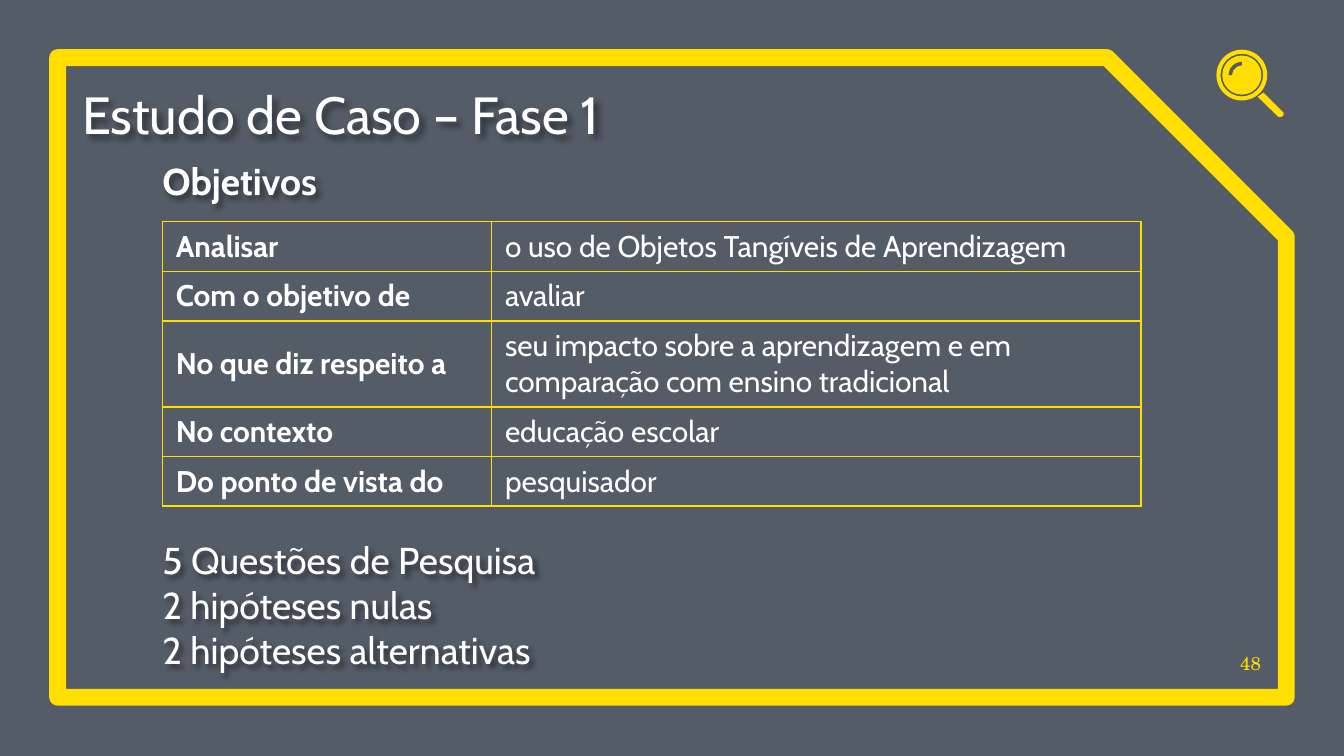
"""Build the case study slide with its objectives table."""
from lxml import etree
from pptx import Presentation
from pptx import util as u
from pptx.dml.color import RGBColor
from pptx.enum import shapes, text
from pptx.oxml import parse_xml
from pptx.oxml.ns import nsdecls, qn

SLATE = RGBColor(0x54, 0x5C, 0x67)
YELLOW = RGBColor(0xFF, 0xDE, 0x00)
WHITE = RGBColor(0xFF, 0xFF, 0xFF)
SANS, SERIF = "Cabin", "TeX Gyre Schola"

TITLE = "Estudo de Caso – Fase 1"
HEADING = "Objetivos"
GOALS = [
    ("Analisar", "o uso de Objetos Tangíveis de Aprendizagem"),
    ("Com o objetivo de", "avaliar"),
    ("No que diz respeito a",
     "seu impacto sobre a aprendizagem e em comparação com ensino tradicional"),
    ("No contexto", "educação escolar"),
    ("Do ponto de vista do", "pesquisador"),
]
OUTCOMES = ["5 Questões de Pesquisa", "2 hipóteses nulas", "2 hipóteses alternativas"]
PAGE = "48"

LEFT = 3.07
COL_WIDTHS = [6.22, 12.27]
ROW_HEIGHTS = [0.94, 0.94, 1.6, 0.94, 0.94]
LENS_CENTRE = (23.47, 1.42)
HANDLE = [(23.88, 1.75), (23.77, 1.83), (24.16, 2.21),
          (24.22, 2.21), (24.26, 2.18), (24.26, 2.13)]


def cm(*values):
    return [u.Cm(v) for v in values]


def style(p, size, color=WHITE, font=SANS, bold=False):
    for r in p.runs:
        r.font.size, r.font.name, r.font.bold = u.Pt(size), font, bold
        r.font.color.rgb = color


def write(sp, lines, size, align=text.PP_ALIGN.LEFT, **look):
    tf = sp.text_frame
    tf.word_wrap = True
    tf.auto_size = text.MSO_AUTO_SIZE.NONE
    tf.vertical_anchor = text.MSO_ANCHOR.BOTTOM
    tf.margin_left = tf.margin_right = tf.margin_top = tf.margin_bottom = 0
    tf.text = "\n".join(lines)
    for p in tf.paragraphs:
        p.alignment = align
        style(p, size, **look)


def add_shadow(sp):
    sp._element.spPr.append(parse_xml(
        f'<a:effectLst {nsdecls("a")}><a:outerShdw blurRad="38100" dist="38100" '
        'dir="2700000" algn="tl"><a:srgbClr val="000000"><a:alpha val="43000"/>'
        '</a:srgbClr></a:outerShdw></a:effectLst>'))


def fill_plain(sp, color):
    sp.shadow.inherit = False
    sp.fill.solid()
    sp.fill.fore_color.rgb = color
    sp.line.fill.background()


def add_round(group, kind, diameter, color, adjustments=()):
    x, y = (c - diameter / 2 for c in LENS_CENTRE)
    sp = group.shapes.add_shape(kind, *cm(x, y, diameter, diameter))
    for i, value in enumerate(adjustments):
        sp.adjustments[i] = value
    fill_plain(sp, color)


def add_magnifier(s):
    kinds = shapes.MSO_SHAPE
    group = s.shapes.add_group_shape()
    add_round(group, kinds.DONUT, 0.96, YELLOW, [0.08])
    add_round(group, kinds.OVAL, 0.74, YELLOW)
    add_round(group, kinds.BLOCK_ARC, 0.5, SLATE, [108, 162, 0.13])
    points = [cm(*point) for point in HANDLE]
    builder = group.shapes.build_freeform(*points[0])
    builder.add_line_segments(points[1:])
    fill_plain(builder.convert_to_shape(), YELLOW)


def add_borders(cell):
    tcPr = cell._tc.get_or_add_tcPr()
    for side in ("lnL", "lnR", "lnT", "lnB"):
        ln = etree.SubElement(tcPr, qn(f"a:{side}"), w=str(u.Pt(1)))
        fill = etree.SubElement(ln, qn("a:solidFill"))
        etree.SubElement(fill, qn("a:srgbClr"), val=str(YELLOW))


def add_goals(s):
    size = cm(sum(COL_WIDTHS), sum(ROW_HEIGHTS))
    table = s.shapes.add_table(len(GOALS), 2, *cm(LEFT, 4.19), *size).table
    table.first_row = table.horz_banding = False
    for col, width in zip(table.columns, COL_WIDTHS):
        col.width = u.Cm(width)
    for row, height, goal in zip(table.rows, ROW_HEIGHTS, GOALS):
        row.height = u.Cm(height)
        for i, (cell, words) in enumerate(zip(row.cells, goal)):
            cell.text = words
            cell.vertical_anchor = text.MSO_ANCHOR.MIDDLE
            style(cell.text_frame.paragraphs[0], 16, bold=i == 0)
            add_borders(cell)
            cell.fill.background()


def main():
    prs = Presentation()
    prs.slide_width, prs.slide_height = cm(25.4, 14.29)
    s = prs.slides.add_slide(prs.slide_layouts[5])
    s.background.fill.solid()
    s.background.fill.fore_color.rgb = SLATE

    frame = s.shapes.add_shape(shapes.MSO_SHAPE.SNIP_1_RECTANGLE,
                               *cm(1.09, 1.09, 23.22, 12.09))
    frame.adjustments[0] = 0.28
    frame.shadow.inherit = False
    frame.fill.background()
    frame.line.color.rgb = YELLOW
    frame.line.width = u.Pt(9)

    title = s.shapes.title
    title.left, title.top, title.width, title.height = cm(1.55, 1.4, 18.67, 1.35)
    write(title, [TITLE], 28)
    heading = s.shapes.add_textbox(*cm(LEFT, 2.97, 6.3, 0.86))
    write(heading, [HEADING], 20, bold=True)
    outcomes = s.shapes.add_textbox(*cm(LEFT, 10.01, 10.01, 2.69))
    write(outcomes, OUTCOMES, 20)
    for sp in (title, heading, outcomes):
        add_shadow(sp)

    page = s.shapes.add_textbox(*cm(23.14, 12.04, 0.69, 0.71))
    write(page, [PAGE], 10, text.PP_ALIGN.RIGHT, color=YELLOW, font=SERIF)
    add_magnifier(s)
    add_goals(s)
    prs.save("out.pptx")


if __name__ == "__main__":
    main()
